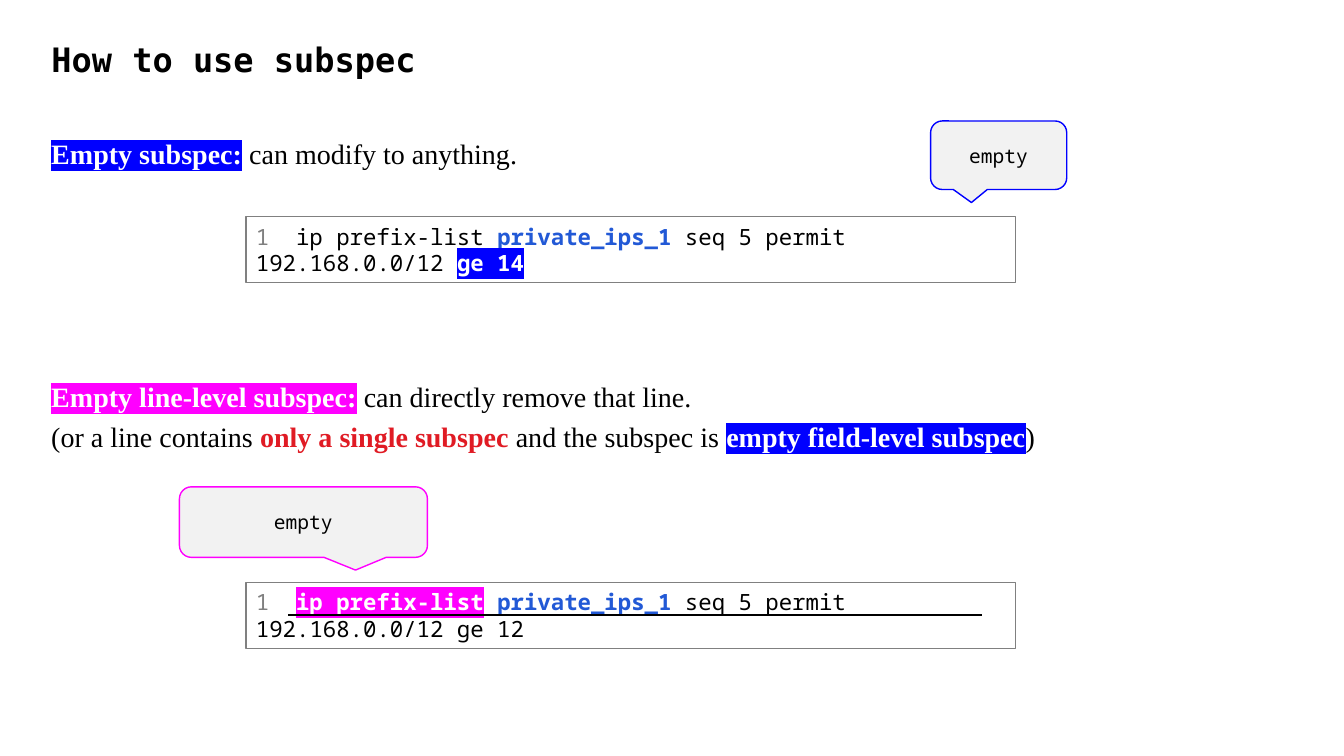
import pptx
import pptx.dml.color
import pptx.enum.shapes
import pptx.enum.text
import pptx.oxml.ns
import pptx.util
from lxml import etree

Inches = pptx.util.Inches
Pt = pptx.util.Pt
RGBColor = pptx.dml.color.RGBColor
MSO_SHAPE = pptx.enum.shapes.MSO_SHAPE
PP_ALIGN = pptx.enum.text.PP_ALIGN
MSO_ANCHOR = pptx.enum.text.MSO_ANCHOR
qn = pptx.oxml.ns.qn

BLACK = RGBColor(0x00, 0x00, 0x00)
WHITE = RGBColor(0xFF, 0xFF, 0xFF)
GRAY = RGBColor(0x80, 0x80, 0x80)
LIGHT_GRAY = RGBColor(0xF2, 0xF2, 0xF2)
BLUE = RGBColor(0x00, 0x00, 0xFF)
MAGENTA = RGBColor(0xFF, 0x00, 0xFF)
RED = RGBColor(0xE0, 0x1B, 0x24)
NAME_BLUE = RGBColor(0x22, 0x59, 0xD6)

PLAIN = (BLACK, False, None)
LINE_NUMBER = (GRAY, False, None)
LIST_NAME = (NAME_BLUE, True, None)
WARNING = (RED, True, None)
FIELD_MARK = (WHITE, True, BLUE)
LINE_MARK = (WHITE, True, MAGENTA)


def add_runs(paragraph, pieces, font_name, size):
    for text, (color, bold, highlight) in pieces:
        run = paragraph.add_run()
        run.text = text
        run.font.size = Pt(size)
        run.font.bold = bold
        run.font.color.rgb = color
        if highlight is not None:
            mark = etree.SubElement(run.font._element, qn("a:highlight"))
            etree.SubElement(mark, qn("a:srgbClr"), val=str(highlight))
        run.font.name = font_name


def add_box(kind, left, top, width, height, line_color, line_width):
    shape = slide.shapes.add_shape(
        kind, Inches(left), Inches(top), Inches(width), Inches(height))
    shape.shadow.inherit = False
    shape.line.color.rgb = line_color
    shape.line.width = Pt(line_width)
    shape.text_frame.word_wrap = True
    shape.text_frame.vertical_anchor = MSO_ANCHOR.MIDDLE
    return shape


presentation = pptx.Presentation()
presentation.slide_width = Inches(13.33)
presentation.slide_height = Inches(7.5)
slide = presentation.slides.add_slide(presentation.slide_layouts[5])

title = slide.shapes.title
title.left, title.top = Inches(0.41), Inches(0.21)
title.width, title.height = Inches(12.5), Inches(0.8)
title.text_frame.text = "How to use subspec"
title.text_frame.vertical_anchor = MSO_ANCHOR.MIDDLE
title_paragraph = title.text_frame.paragraphs[0]
title_paragraph.alignment = PP_ALIGN.LEFT
title_paragraph.line_spacing = 0.9
title_font = title_paragraph.runs[0].font
title_font.name = "DejaVu Sans Mono"
title_font.size = Pt(24)
title_font.bold = True
title_font.color.rgb = BLACK

explanations = [
    (1.24, 12.83, 0.5, [
        [("Empty subspec:", FIELD_MARK), (" can modify to anything.", PLAIN)],
    ]),
    (3.65, 11.52, 0.91, [
        [("Empty line-level subspec:", LINE_MARK),
         (" can directly remove that line.", PLAIN)],
        [("(or a line contains ", PLAIN), ("only a single subspec", WARNING),
         (" and the subspec is ", PLAIN),
         ("empty field-level subspec", FIELD_MARK), (")", PLAIN)],
    ]),
]
for top, width, height, lines in explanations:
    text_box = slide.shapes.add_textbox(
        Inches(0.41), Inches(top), Inches(width), Inches(height))
    text_frame = text_box.text_frame
    text_frame.word_wrap = True
    for index, pieces in enumerate(lines):
        paragraph = text_frame.add_paragraph() if index else text_frame.paragraphs[0]
        paragraph.line_spacing = 1.2
        add_runs(paragraph, pieces, "Times New Roman", 20)

code_boxes = [
    (2.15, [("1  ", LINE_NUMBER), ("ip prefix-list ", PLAIN),
            ("private_ips_1", LIST_NAME),
            (" seq 5 permit 192.168.0.0/12 ", PLAIN), ("ge 14", FIELD_MARK)]),
    (5.78, [("1  ", LINE_NUMBER), ("ip prefix-list", LINE_MARK), (" ", PLAIN),
            ("private_ips_1", LIST_NAME),
            (" seq 5 permit 192.168.0.0/12 ge 12", PLAIN)]),
]
for top, pieces in code_boxes:
    code_box = add_box(MSO_SHAPE.RECTANGLE, 2.44, top, 7.63, 0.65, GRAY, 0.75)
    code_box.fill.background()
    paragraph = code_box.text_frame.paragraphs[0]
    paragraph.alignment = PP_ALIGN.LEFT
    add_runs(paragraph, pieces, "Noto Sans Mono", 16)

callouts = [
    (9.23, 1.2, 1.35, 0.68, BLUE, (-0.2, 0.69, 0.17)),
    (1.78, 4.83, 2.46, 0.7, MAGENTA, (0.21, 0.68, 0.17)),
]
for left, top, width, height, color, adjustments in callouts:
    callout = add_box(
        MSO_SHAPE.ROUNDED_RECTANGULAR_CALLOUT, left, top, width, height, color, 1)
    callout.fill.solid()
    callout.fill.fore_color.rgb = LIGHT_GRAY
    for index, value in enumerate(adjustments):
        callout.adjustments[index] = value
    paragraph = callout.text_frame.paragraphs[0]
    paragraph.alignment = PP_ALIGN.CENTER
    paragraph.space_after = Pt(3)
    add_runs(paragraph, [("empty", PLAIN)], "Noto Sans Mono", 14)

strike_line = slide.shapes.add_connector(
    pptx.enum.shapes.MSO_CONNECTOR.STRAIGHT,
    Inches(2.86), Inches(6.1), Inches(9.74), Inches(6.1))
strike_line.line.color.rgb = BLACK
strike_line.line.width = Pt(1.25)
etree.SubElement(strike_line._element.spPr, qn("a:effectLst"))

presentation.save("out.pptx")
